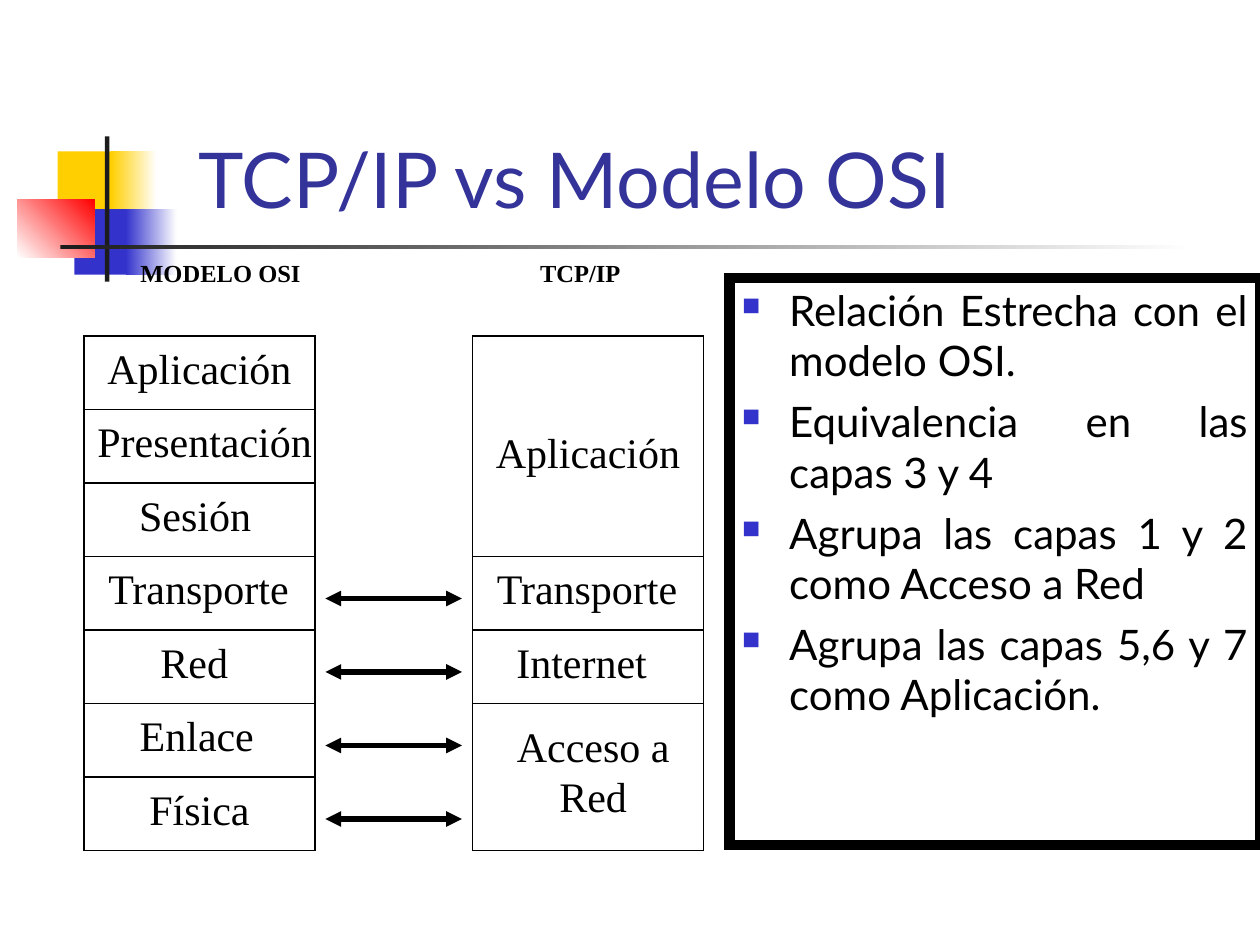
"""Build a slide comparing the TCP/IP layers with the OSI model."""
from dataclasses import dataclass

from lxml import etree
from pptx import Presentation
from pptx.dml.color import RGBColor
from pptx.enum.shapes import MSO_CONNECTOR, MSO_SHAPE
from pptx.enum.text import MSO_ANCHOR, MSO_AUTO_SIZE, PP_ALIGN
from pptx.oxml.ns import qn
from pptx.util import Pt

RECTANGLE = MSO_SHAPE.RECTANGLE
STRAIGHT = MSO_CONNECTOR.STRAIGHT
TOP, BOTTOM = MSO_ANCHOR.TOP, MSO_ANCHOR.BOTTOM
FIXED, GROW = MSO_AUTO_SIZE.NONE, MSO_AUTO_SIZE.SHAPE_TO_FIT_TEXT
LEFT, CENTER, JUSTIFY = PP_ALIGN.LEFT, PP_ALIGN.CENTER, PP_ALIGN.JUSTIFY

SANS, SERIF = "Lato", "Times New Roman"
BLACK, WHITE, DARK = "000000", "FFFFFF", "1C1C1C"
YELLOW, BLUE, RED, NAVY = "FFCF01", "3333CC", "FF0000", "333399"

STACK_TOP, ROW_HEIGHT, STACK_WIDTH = 192, 42, 132
OSI_LEFT, TCP_LEFT = 48, 270
ARROW_DROP, ARROW_GAP = 24, 6


@dataclass(frozen=True)
class Block:
    left: float
    top: float
    width: float
    height: float
    start: str
    end: str | None = None
    angle: float = 0


@dataclass(frozen=True)
class Layer:
    label: str
    label_left: float
    label_width: float
    rows: int = 1
    label_drop: float = 0
    align: PP_ALIGN = CENTER


@dataclass(frozen=True)
class Style:
    font: str
    size: float
    color: str = BLACK
    bold: bool = False
    align: PP_ALIGN = CENTER


ORNAMENT = [
    Block(33, 86.5, 34.5, 37.5, YELLOW),
    Block(63.5, 86.5, 26, 37.5, YELLOW, WHITE),
    Block(42.5, 119.5, 33, 37.5, BLUE),
    Block(72, 119.5, 29, 37.5, BLUE, WHITE),
    Block(10, 114, 44, 33, WHITE, RED, 45),
    Block(60, 78, 2.5, 83, DARK),
    Block(34.5, 140, 648, 2.5, DARK, WHITE),
]
OSI_LAYERS = [
    Layer("Aplicación", 54, 120),
    Layer("Presentación", 48, 138),
    Layer("Sesión", 72, 79),
    Layer("Transporte", 54, 119),
    Layer("Red", 84, 54),
    Layer("Enlace", 72, 81),
    Layer("Física", 78, 72),
]
TCP_LAYERS = [
    Layer("Aplicación", 276, 120, 3, 48),
    Layer("Transporte", 276, 119),
    Layer("Internet", 288, 91, align=LEFT),
    Layer("Acceso a\nRed", 288, 102, 2, 6),
]
POINTS = [
    "Relación Estrecha con el modelo OSI.",
    "Equivalencia en las capas 3 y 4",
    "Agrupa las capas 1 y 2 como Acceso a Red",
    "Agrupa las capas 5,6 y 7 como Aplicación.",
]


def rgb(value: str) -> RGBColor:
    """Turn a hex string into a colour."""
    return RGBColor.from_string(value)


def add_block(page, block: Block) -> None:
    """Draw a borderless rectangle with a solid or gradient fill."""
    shape = page.shapes.add_shape(
        RECTANGLE, Pt(block.left), Pt(block.top), Pt(block.width), Pt(block.height))
    shape.shadow.inherit = False
    shape.line.fill.background()
    if block.end is None:
        shape.fill.solid()
        shape.fill.fore_color.rgb = rgb(block.start)
        return
    shape.fill.gradient()
    shape.fill.gradient_angle = block.angle
    for stop, color, position in zip(
            shape.fill.gradient_stops, (block.start, block.end), (0, 1)):
        stop.color.rgb = rgb(color)
        stop.position = position


def add_frame(page, left: float, top: float, width: float, height: float,
              weight: float):
    """Draw and return an unfilled black outline with sharp corners."""
    frame = page.shapes.add_shape(RECTANGLE, Pt(left), Pt(top), Pt(width), Pt(height))
    frame.shadow.inherit = False
    frame.fill.background()
    frame.line.color.rgb = rgb(BLACK)
    frame.line.width = Pt(weight)
    etree.SubElement(frame.line._get_or_add_ln(), qn("a:miter"), lim="800000")
    return frame


def style_paragraph(para, style: Style) -> None:
    """Apply alignment and font to a paragraph."""
    para.alignment = style.align
    para.font.name = style.font
    para.font.size = Pt(style.size)
    para.font.bold = style.bold
    para.font.color.rgb = rgb(style.color)


def add_text(page, text: str, left: float, top: float, width: float, height: float,
             style: Style, wrap: bool = True, anchor: MSO_ANCHOR = TOP,
             fit: MSO_AUTO_SIZE = GROW) -> None:
    """Add a text box with one paragraph per line of text."""
    box = page.shapes.add_textbox(Pt(left), Pt(top), Pt(width), Pt(height))
    frame = box.text_frame
    frame.word_wrap = wrap
    frame.auto_size = fit
    frame.vertical_anchor = anchor
    frame.text = text
    for para in frame.paragraphs:
        style_paragraph(para, style)


def add_stack(page, left: float, layers: list[Layer]) -> None:
    """Draw one protocol stack from the top down."""
    top = STACK_TOP
    for layer in layers:
        height = layer.rows * ROW_HEIGHT
        add_frame(page, left, top, STACK_WIDTH, height, 1)
        add_text(page, layer.label, layer.label_left, top + layer.label_drop,
                 layer.label_width, 36, Style(SERIF, 24, align=layer.align), wrap=False)
        top += height


def add_double_arrow(page, left: float, right: float, y: float) -> None:
    """Draw a horizontal line with an arrowhead at both ends."""
    arrow = page.shapes.add_connector(STRAIGHT, Pt(left), Pt(y), Pt(right), Pt(y))
    arrow.line.color.rgb = rgb(BLACK)
    arrow.line.width = Pt(3)
    line = arrow.line._get_or_add_ln()
    for end in ("a:headEnd", "a:tailEnd"):
        etree.SubElement(line, qn(end), type="triangle")
    etree.SubElement(arrow._element.spPr, qn("a:effectLst"))


def add_bullet(para) -> None:
    """Give a paragraph a small blue square and a hanging indent."""
    properties = para._p.get_or_add_pPr()
    properties.set("marL", str(Pt(27)))
    properties.set("indent", str(Pt(-27)))
    color = etree.SubElement(properties, qn("a:buClr"))
    etree.SubElement(color, qn("a:srgbClr"), val=BLUE)
    etree.SubElement(properties, qn("a:buSzPct"), val="60000")
    etree.SubElement(properties, qn("a:buChar"), char="■")


def add_points(page, points: list[str]) -> None:
    """Add the framed list of remarks."""
    frame = add_frame(page, 416.9, 159, 303.1, 324, 6).text_frame
    frame.word_wrap = True
    frame.vertical_anchor = TOP
    frame.text = "\n".join(points)
    for para in frame.paragraphs:
        add_bullet(para)
        para.space_before = Pt(6)
        style_paragraph(para, Style(SANS, 24, align=JUSTIFY))


def main() -> None:
    """Build and save the deck."""
    deck = Presentation()
    deck.slide_width, deck.slide_height = Pt(720), Pt(540)
    page = deck.slides.add_slide(deck.slide_layouts[6])
    for block in ORNAMENT:
        add_block(page, block)
    add_text(page, "TCP/IP vs Modelo OSI", 106.5, 16.5, 613.5, 115,
             Style(SANS, 44, NAVY, align=LEFT), anchor=BOTTOM, fit=FIXED)
    add_points(page, POINTS)
    add_stack(page, OSI_LEFT, OSI_LAYERS)
    add_stack(page, TCP_LEFT, TCP_LAYERS)
    for row in range(3, len(OSI_LAYERS)):
        add_double_arrow(page, OSI_LEFT + STACK_WIDTH + ARROW_GAP, TCP_LEFT - ARROW_GAP,
                         STACK_TOP + row * ROW_HEIGHT + ARROW_DROP)
    for heading, left in (("MODELO OSI", 60), (" TCP/IP", 264)):
        add_text(page, heading, left, 144, STACK_WIDTH, 24.5, Style(SERIF, 14, bold=True))
    deck.save("out.pptx")


if __name__ == "__main__":
    main()
